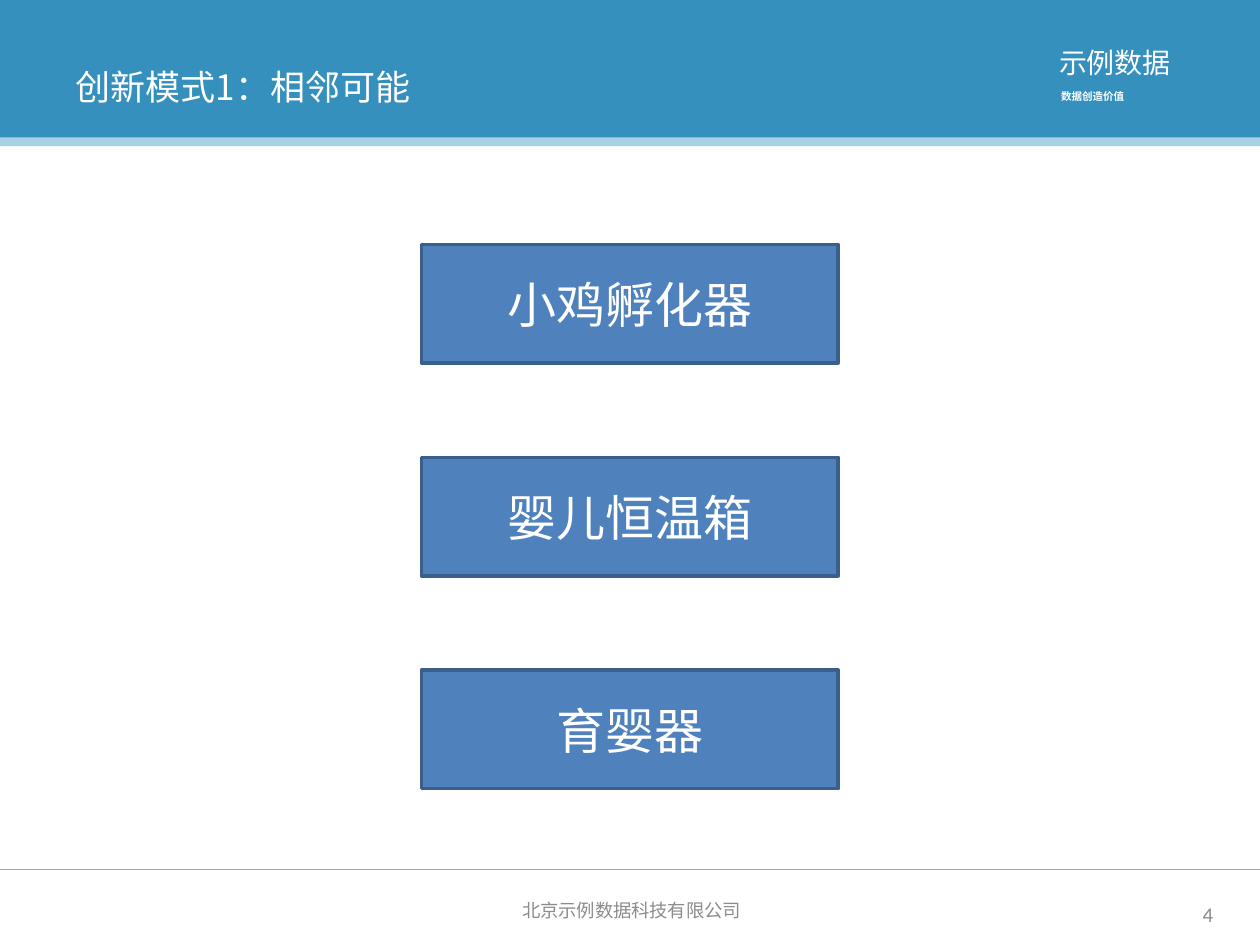
from lxml import etree
from pptx import Presentation
from pptx.dml.color import RGBColor
from pptx.enum.shapes import MSO_CONNECTOR, MSO_SHAPE
from pptx.enum.text import MSO_ANCHOR, PP_ALIGN
from pptx.oxml.ns import qn
from pptx.util import Cm, Pt

RECTANGLE = MSO_SHAPE.RECTANGLE
STRAIGHT = MSO_CONNECTOR.STRAIGHT
TOP, MIDDLE = MSO_ANCHOR.TOP, MSO_ANCHOR.MIDDLE
LEFT, CENTER, RIGHT = PP_ALIGN.LEFT, PP_ALIGN.CENTER, PP_ALIGN.RIGHT
JUSTIFY = PP_ALIGN.JUSTIFY

WHITE = RGBColor(0xFF, 0xFF, 0xFF)
HEADER_BLUE = RGBColor(0x35, 0x90, 0xBD)
PALE_BLUE = RGBColor(0xA9, 0xD1, 0xE5)
BOX_BLUE = RGBColor(0x4F, 0x81, 0xBD)
BOX_EDGE = RGBColor(0x3A, 0x5F, 0x8C)
RULE_GREY = RGBColor(0xA6, 0xA6, 0xA6)
TEXT_GREY = RGBColor(0x8C, 0x8C, 0x8C)

CHINESE_FONT = "Noto Sans CJK SC"
LATIN_FONT = "Calibri"

SLIDE_WIDTH, SLIDE_HEIGHT = 25.4, 19.05


def write(frame, text, size, color, align=LEFT, anchor=MIDDLE,
          font=CHINESE_FONT, bold=False):
    frame.word_wrap = True
    frame.vertical_anchor = anchor
    frame.text = text
    paragraph = frame.paragraphs[0]
    paragraph.alignment = align
    run = paragraph.runs[0]
    run.font.size = Pt(size)
    run.font.color.rgb = color
    run.font.bold = bold
    run.font.name = font
    east_asian = etree.SubElement(run.font._element, qn("a:ea"))
    east_asian.set("typeface", CHINESE_FONT)


def add_label(slide, left, top, width, height, text, size, color, **style):
    label = slide.shapes.add_textbox(Cm(left), Cm(top), Cm(width), Cm(height))
    write(label.text_frame, text, size, color, **style)


def add_block(slide, left, top, width, height, fill, edge=None):
    block = slide.shapes.add_shape(
        RECTANGLE, Cm(left), Cm(top), Cm(width), Cm(height))
    block.shadow.inherit = False
    block.fill.solid()
    block.fill.fore_color.rgb = fill
    if edge is None:
        block.line.fill.background()
    else:
        block.line.color.rgb = edge
        block.line.width = Pt(2)
    return block


def add_header(slide, left, top, width, height):
    add_block(slide, left, top, width, height, HEADER_BLUE)
    add_block(slide, left, top + height - 0.02, width, 0.18, PALE_BLUE)
    add_label(slide, left + 1.27, top + 0.76, 16.64, 1.96,
              "创新模式1：相邻可能", 20, WHITE)
    brand_left = left + width - 4.3
    add_label(slide, brand_left, top + 0.79, 2.92, 0.94,
              "示例数据", 16, WHITE, align=JUSTIFY, anchor=TOP)
    add_label(slide, brand_left + 0.04, top + 1.68, 2.87, 0.51,
              "数据创造价值", 6, WHITE, align=JUSTIFY, anchor=TOP, bold=True)


def add_steps(slide, left, top, width, height, steps):
    step_height = 2.39
    pitch = (height - step_height) / (len(steps) - 1)
    for index, step in enumerate(steps):
        block = add_block(slide, left, top + index * pitch, width, step_height,
                          BOX_BLUE, BOX_EDGE)
        write(block.text_frame, step, 28, WHITE, align=CENTER, font=LATIN_FONT)


def add_footer(slide, left, top, width, number):
    rule = slide.shapes.add_connector(
        STRAIGHT, Cm(left), Cm(top), Cm(left + width), Cm(top))
    rule.line.color.rgb = RULE_GREY
    rule.line.width = Pt(0.75)
    etree.SubElement(rule._element.spPr, qn("a:effectLst"))
    add_label(slide, left + 8.71, top + 0.3, 8.05, 1.02,
              "北京示例数据科技有限公司", 10.5, TEXT_GREY, align=CENTER)
    add_label(slide, left + width - 1.73, top + 0.38, 1.04, 1.02,
              number, 12, TEXT_GREY, align=RIGHT, font=LATIN_FONT)


def main():
    presentation = Presentation()
    presentation.slide_width = Cm(SLIDE_WIDTH)
    presentation.slide_height = Cm(SLIDE_HEIGHT)
    slide = presentation.slides.add_slide(presentation.slide_layouts[6])
    add_header(slide, 0, 0, SLIDE_WIDTH, 2.79)
    add_footer(slide, 0, 17.53, SLIDE_WIDTH, "4")
    add_steps(slide, 8.5, 4.93, 8.4, 10.97,
              ["小鸡孵化器", "婴儿恒温箱", "育婴器"])
    presentation.save("out.pptx")


if __name__ == "__main__":
    main()
